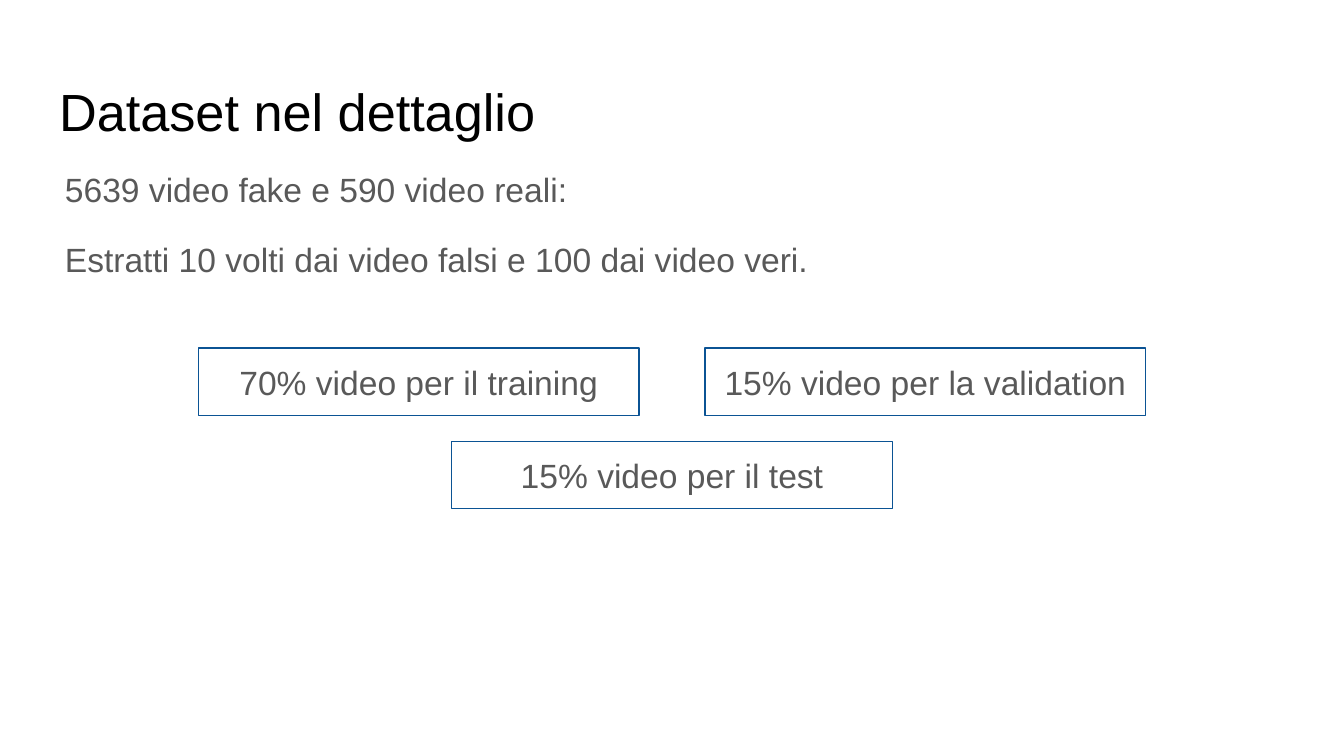
"""Build the slide that details the dataset and its split."""
from pptx import Presentation as Deck
from pptx.dml.color import RGBColor as Rgb
from pptx.enum.shapes import MSO_SHAPE as Kind
from pptx.enum.text import MSO_ANCHOR as Anchor, MSO_AUTO_SIZE as Auto, PP_ALIGN as Align
from pptx.util import Emu, Pt

SCALE = 4572
WIDE, HIGH = 2000, 1125
HUES = {"ink": "000000", "text": "595959", "edge": "0B5394", "paper": "FFFFFF"}


def px(*nums):
    return [Emu(n * SCALE) for n in nums]


def hue(name):
    return Rgb.from_string(HUES[name])


def write(frame, text, size=18, color="text", align=Align.LEFT, lead=1.0,
          anchor=Anchor.TOP, fit=Auto.SHAPE_TO_FIT_TEXT):
    frame.word_wrap = True
    frame.auto_size = fit
    frame.vertical_anchor = anchor
    for side in ("left", "top", "right", "bottom"):
        setattr(frame, f"margin_{side}", px(20)[0])
    para = frame.paragraphs[0]
    para.text = text
    para.alignment = align
    para.line_spacing = lead
    para.space_before = Pt(0)
    font = para.runs[0].font
    font.name, font.size = "Arial", Pt(size)
    font.color.rgb = hue(color)


class Page:
    def __init__(self, deck):
        self.slide = deck.slides.add_slide(deck.slide_layouts[5])
        self.shapes = self.slide.shapes
        fill = self.slide.background.fill
        fill.solid()
        fill.fore_color.rgb = hue("paper")

    def title(self, text, *area):
        head = self.shapes.title
        head.left, head.top, head.width, head.height = px(*area)
        write(head.text_frame, text, size=28, color="ink", fit=Auto.NONE)

    def note(self, text, *area, **style):
        box = self.shapes.add_textbox(*px(*area))
        write(box.text_frame, text, **style)

    def card(self, text, *area):
        box = self.shapes.add_shape(Kind.RECTANGLE, *px(*area))
        box.shadow.inherit = False
        box.fill.solid()
        box.fill.fore_color.rgb = hue("paper")
        box.line.color.rgb = hue("edge")
        box.line.width = Pt(0.75)
        write(box.text_frame, text, align=Align.CENTER, anchor=Anchor.MIDDLE)


def main():
    deck = Deck()
    deck.slide_width, deck.slide_height = px(WIDE, HIGH)
    page = Page(deck)
    page.title("Dataset nel dettaglio", 68, 98, 1864, 126)
    page.note("5639 video fake e 590 video reali:", 77, 222, 912, 100,
              align=Align.JUSTIFY, lead=1.15)
    span, edge = 656, 295
    cards = [
        ("70% video per il training", edge, 518),
        ("15% video per il test", (WIDE - span) // 2, 657),
        ("15% video per la validation", WIDE - edge - span, 518),
    ]
    for text, left, top in cards:
        page.card(text, left, top, span, 100)
    page.note("Estratti 10 volti dai video falsi e 100 dai video veri.",
              77, 336, 1828, 100)
    deck.save("out.pptx")


if __name__ == "__main__":
    main()
